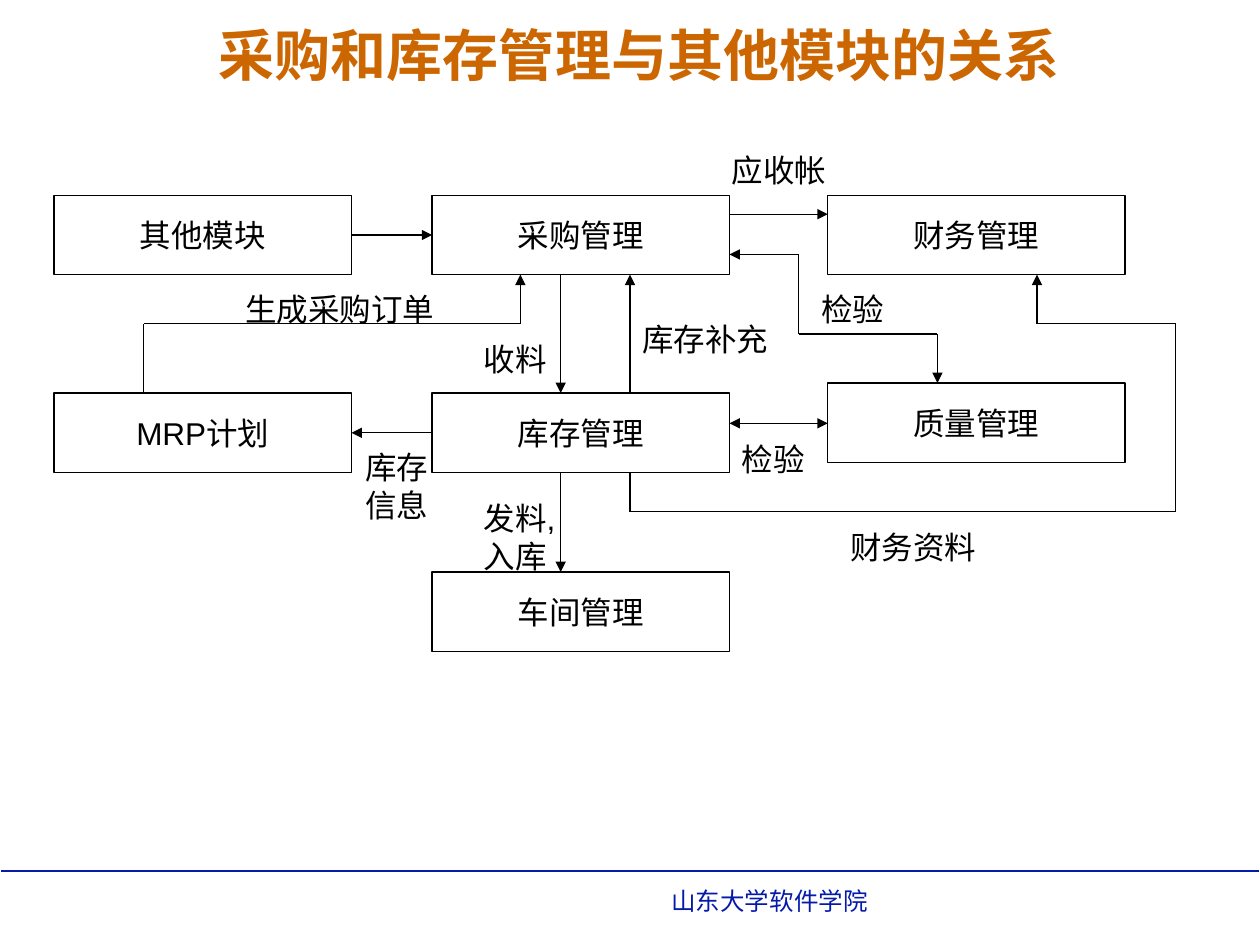
from itertools import pairwise
from lxml import etree
from pptx import Presentation, util as u
from pptx.dml.color import RGBColor
from pptx.enum import shapes, text
from pptx.oxml.ns import qn

INK = {"black": "000000", "blue": "061AAA", "orange": "CC6600"}
WIDE, HIGH = 10, 7.5
COLS = (0.43, 3.43, 6.57)
ROWS = (1.55, 3.12, 4.54)
BOX_W, BOX_H = 2.36, 0.63
RIGHT = [x + BOX_W for x in COLS]
BASE = [y + BOX_H for y in ROWS]
MID = [y + BOX_H / 2 for y in ROWS]
QUAL_Y = 3.04
DOWN, UP, TURN = 4.45, 5, 2.57  # lanes at the middle column, bend between rows

# name: left, top
BOXES = {
    "采购管理": (COLS[1], ROWS[0]),
    "车间管理": (COLS[1], ROWS[2]),
    "质量管理": (COLS[2], QUAL_Y),
    "库存管理": (COLS[1], ROWS[1]),
    "MRP计划": (COLS[0], ROWS[1]),
    "财务管理": (COLS[2], ROWS[0]),
    "其他模块": (COLS[0], ROWS[0]),
}

# points of each route, arrow at start, arrow at end
ROUTES = [
    ([(1.14, ROWS[1]), (1.14, TURN), (4.13, TURN), (4.13, BASE[0])], False, True),
    ([(DOWN, BASE[0]), (DOWN, ROWS[1])], False, True),
    ([(UP, ROWS[1]), (UP, BASE[0])], False, True),
    ([(RIGHT[1], 1.7), (COLS[2], 1.7)], False, True),
    ([(RIGHT[1], 2.02), (6.34, 2.02), (6.34, 2.65), (7.44, 2.65),
      (7.44, QUAL_Y)], True, True),
    ([(UP, BASE[1]), (UP, 4.06), (9.33, 4.06), (9.33, TURN), (8.23, TURN),
      (8.23, BASE[0])], False, True),
    ([(DOWN, BASE[1]), (DOWN, ROWS[2])], False, True),
    ([(RIGHT[1], 3.36), (COLS[2], 3.36)], True, True),
]

# from box, side, to box, side
JOINS = [("库存管理", 1, "MRP计划", 3), ("其他模块", 3, "采购管理", 1)]

# words, left, top, width, height
LABELS = [
    ("生成采购订单", 1.85, 2.25, 1.97, 0.4),
    ("库存信息", 2.8, 3.51, 0.79, 0.7),
    ("发料,入库", 3.74, 3.91, 0.87, 0.7),
    ("应收帐", 5.71, 1.15, 1.18, 0.4),
    ("检验", 6.42, 2.25, 0.79, 0.4),
    ("库存补充", 5, 2.49, 1.26, 0.4),
    ("收料", 3.74, 2.65, 0.87, 0.4),
    ("财务资料", 6.65, 4.14, 1.42, 0.4),
    ("检验", 5.79, 3.44, 0.79, 0.4),
]

deck = Presentation()
deck.slide_width, deck.slide_height = u.Inches(WIDE), u.Inches(HIGH)
slide = deck.slides.add_slide(deck.slide_layouts[6])


def inches(*sizes):
    return [u.Inches(s) for s in sizes]


def write(shape, words, size=18, ink="black", font="Arial", bold=False,
          center=False, middle=False, wrap=True):
    frame = shape.text_frame
    frame.word_wrap = wrap
    frame.vertical_anchor = (text.MSO_ANCHOR.MIDDLE if middle
                             else text.MSO_ANCHOR.TOP)
    para = frame.paragraphs[0]
    para.alignment = text.PP_ALIGN.CENTER if center else text.PP_ALIGN.LEFT
    run = para.add_run()
    run.text = words
    run.font.size, run.font.name, run.font.bold = u.Pt(size), font, bold
    run.font.color.rgb = RGBColor.from_string(INK[ink])


def label(words, left, top, wide, high, **style):
    write(slide.shapes.add_textbox(*inches(left, top, wide, high)), words, **style)


def box(words, left, top):
    rect = slide.shapes.add_shape(shapes.MSO_SHAPE.RECTANGLE,
                                  *inches(left, top, BOX_W, BOX_H))
    rect.shadow.inherit = False
    rect.fill.background()
    rect.line.color.rgb = RGBColor.from_string(INK["black"])
    rect.line.width = u.Pt(0.75)
    write(rect, words, center=True, middle=True, wrap=False)
    return rect


def line(start, end, head=False, tail=False, ink="black", width=0.75):
    link = slide.shapes.add_connector(shapes.MSO_CONNECTOR.STRAIGHT,
                                      *inches(*start, *end))
    link.line.color.rgb = RGBColor.from_string(INK[ink])
    link.line.width = u.Pt(width)
    props = link.line._get_or_add_ln()
    for tag, shown in (("a:headEnd", head), ("a:tailEnd", tail)):
        if shown:
            etree.SubElement(props, qn(tag), type="triangle")
    etree.SubElement(link._element.spPr, qn("a:effectLst"))
    return link


line((0.01, 6.91), (WIDE - 0.01, 6.91), ink="blue", width=1)
label("山东大学软件学院", 5.23, 6.98, 4.33, 0.34, size=14, ink="blue")
label("采购和库存管理与其他模块的关系", 0.4, 0.13, 9.35, 0.6, size=32, ink="orange",
      font="Times New Roman", bold=True, center=True, middle=True)

rects = {name: box(name, *spot) for name, spot in BOXES.items()}

for points, head, tail in ROUTES:
    legs = list(pairwise(points))
    for i, (start, end) in enumerate(legs):
        line(start, end, head and i == 0, tail and i == len(legs) - 1)

for first, side, last, other in JOINS:
    link = line((0, 0), (1, 1), tail=True)
    link.begin_connect(rects[first], side)
    link.end_connect(rects[last], other)

for item in LABELS:
    label(*item)

deck.save("out.pptx")
